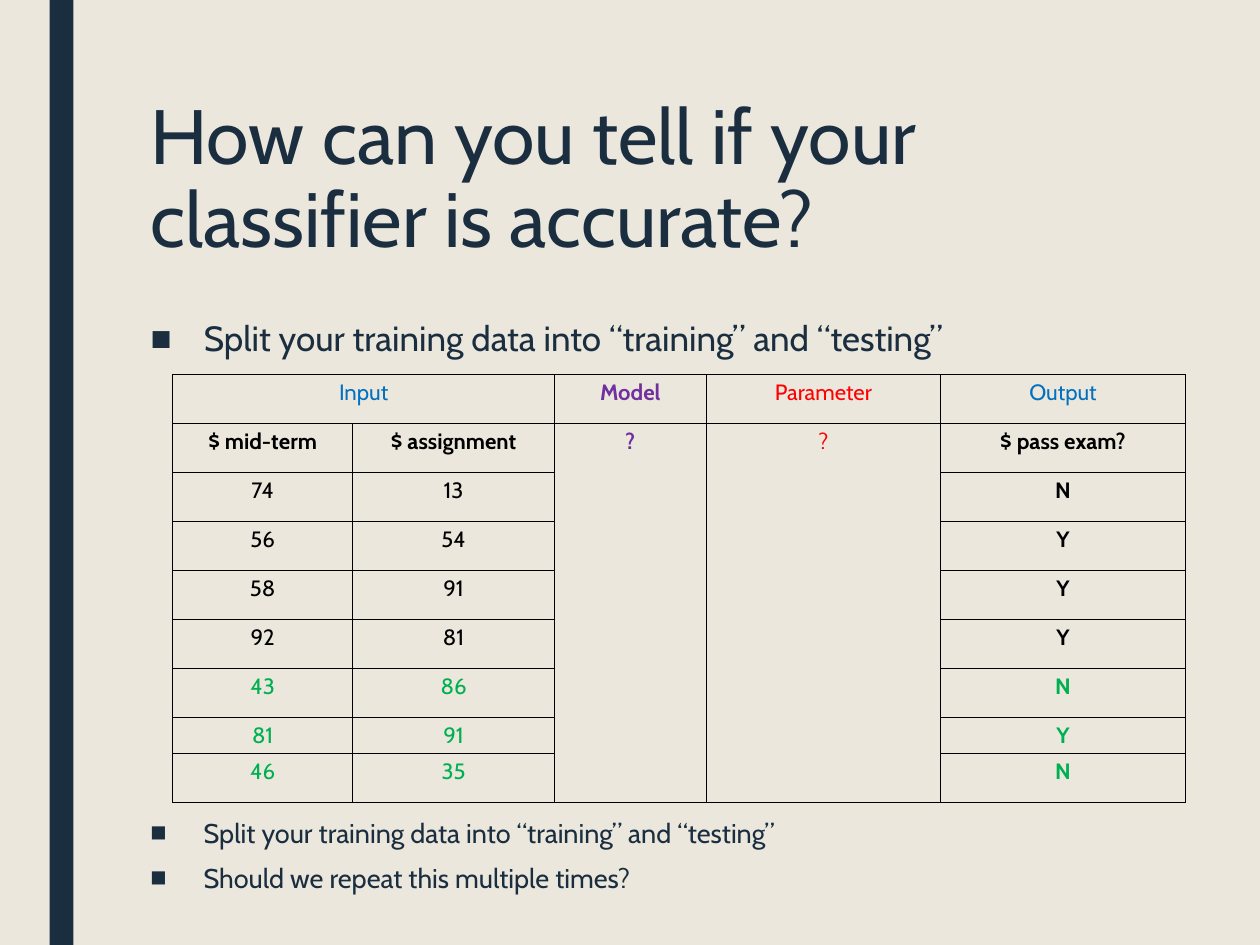
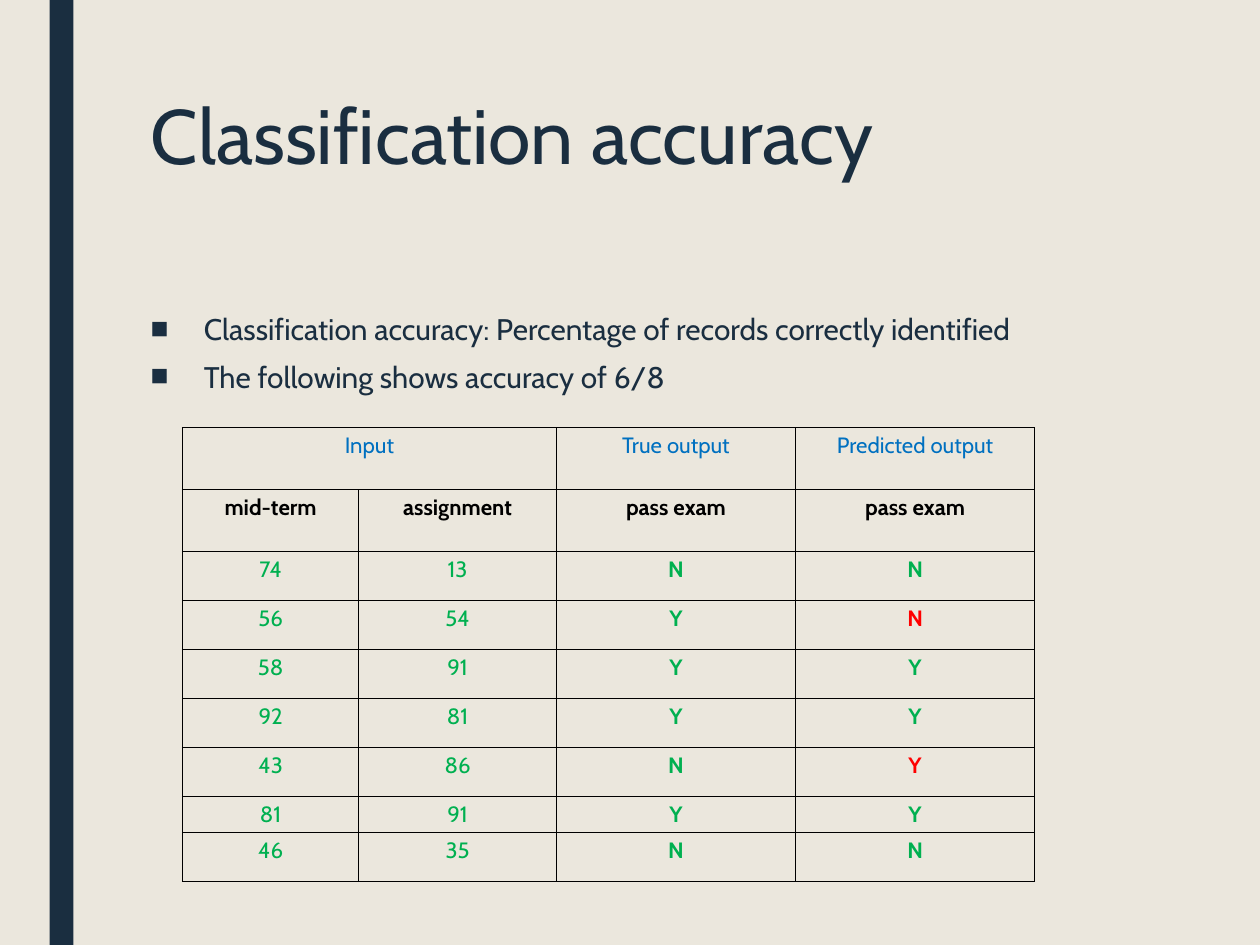
"""Build two slides on splitting training data and measuring classification accuracy."""
from lxml import etree
from pptx import Presentation
from pptx.dml.color import RGBColor
from pptx.enum.shapes import MSO_SHAPE
from pptx.enum.text import MSO_ANCHOR, MSO_AUTO_SIZE, PP_ALIGN
from pptx.oxml.ns import qn
from pptx.util import Inches, Pt

RECTANGLE = MSO_SHAPE.RECTANGLE
TOP = MSO_ANCHOR.TOP
NO_FIT = MSO_AUTO_SIZE.NONE
LEFT, CENTER = PP_ALIGN.LEFT, PP_ALIGN.CENTER

FONT = "Cabin"
COLORS = {
    "paper": "EBE7DD", "navy": "1A2E40", "black": "000000", "blue": "0070C0",
    "purple": "7030A0", "red": "FF0000", "green": "00B050",
}
WIDTH, HEIGHT = Inches(14.22), Inches(10.67)
UNIT = WIDTH / 128
MARGIN, TEXT_WIDTH = 14.4, 100.8
ROW, SHORT_ROW, TALL_ROW = 4.98, 3.69, 6.3


def add_span(para, text, size, color, bold=False):
    """Add one formatted run to a paragraph."""
    span = para.add_run()
    span.text = text
    span.font.name = FONT
    span.font.size = Pt(size)
    span.font.bold = bold
    span.font.color.rgb = RGBColor.from_string(COLORS[color])


def write_list(box, place, lines, size, spacing):
    """Place a box and fill it with square-bulleted lines."""
    box.left, box.top, box.width, box.height = [round(n * UNIT) for n in place]
    frame = box.text_frame
    frame.word_wrap, frame.auto_size, frame.vertical_anchor = True, NO_FIT, TOP
    for index, line in enumerate(lines):
        para = frame.add_paragraph() if index else frame.paragraphs[0]
        props = para._p.get_or_add_pPr()
        props.set("marL", str(Inches(0.6)))
        props.set("indent", str(-Inches(0.6)))
        etree.SubElement(props, qn("a:buFont"), typeface="Arial")
        etree.SubElement(props, qn("a:buChar"), char="■")
        para.alignment = LEFT
        para.line_spacing = spacing
        para.space_before = Pt(14.2 if index else 0)
        para.space_after = Pt(2.8)
        add_span(para, line, size, "navy")


records = [
    (74, 13, "N"), (56, 54, "Y"), (58, 91, "Y"), (92, 81, "Y"),
    (43, 86, "N"), (81, 91, "Y"), (46, 35, "N"),
]
predictions = "NNYYYYN"
training_count = 4
split_line = "Split your training data into “training” and “testing”"

split_rows = [
    [("Input", "blue", False), None, ("Model", "purple", True),
     ("Parameter", "red", False), ("Output", "blue", False)],
    [("$ mid-term", "black", True), ("$ assignment", "black", True),
     ("?", "purple", True), ("?", "red", False), ("$ pass exam?", "black", True)],
]
accuracy_rows = [
    [("Input", "blue", False), None, ("True output", "blue", False),
     ("Predicted output", "blue", False)],
    [(name, "black", True) for name in ("mid-term", "assignment", "pass exam", "pass exam")],
]
for index, (midterm, assignment, truth) in enumerate(records):
    shade = "black" if index < training_count else "green"
    split_rows.append([(str(midterm), shade, False), (str(assignment), shade, False),
                       None, None, (truth, shade, True)])
    guess = predictions[index]
    accuracy_rows.append([(str(midterm), "green", False), (str(assignment), "green", False),
                          (truth, "green", True),
                          (guess, "green" if guess == truth else "red", True)])

slides = [
    {"title": "How can you tell if your classifier is accurate?",
     "lines": [split_line], "width": TEXT_WIDTH, "size": 28.4, "spacing": 0.94,
     "corner": (17.55, 38.07), "columns": [18.27, 20.52, 15.39, 23.85, 24.84],
     "header": ROW, "rows": split_rows,
     "merges": [(0, 0, 0, 1), (1, 2, 8, 2), (1, 3, 8, 3)]},
    {"title": "Classification accuracy",
     "lines": ["Classification accuracy: Percentage of records correctly identified",
               "The following shows accuracy of 6/8"],
     "width": 106.83, "size": 24.2, "spacing": 0.74,
     "corner": (18.54, 43.47), "columns": [17.91, 20.07, 24.3, 24.3],
     "header": TALL_ROW, "rows": accuracy_rows, "merges": [(0, 0, 0, 1)]},
]

deck = Presentation()
deck.slide_width, deck.slide_height = WIDTH, HEIGHT
master = deck.slide_master
master.background.fill.solid()
master.background.fill.fore_color.rgb = RGBColor.from_string(COLORS["paper"])
layout = deck.slide_layouts[1]
heading = layout.placeholders[0]
heading.left, heading.top, heading.width, heading.height = [
    round(n * UNIT) for n in (MARGIN, 9.63, TEXT_WIDTH, 20.79)]

for content in slides:
    page = deck.slides.add_slide(layout)
    frame = page.shapes.title.text_frame
    frame.word_wrap, frame.auto_size, frame.vertical_anchor = True, NO_FIT, TOP
    para = frame.paragraphs[0]
    para.alignment = LEFT
    para.line_spacing = 0.89
    add_span(para, content["title"], 62.6, "navy")
    write_list(page.placeholders[1], (MARGIN, 32.04, content["width"], 8.6),
               content["lines"], content["size"], content["spacing"])

    heights = [content["header"]] * 2 + [ROW] * 5 + [SHORT_ROW, ROW]
    columns = content["columns"]
    extent = (*content["corner"], sum(columns), sum(heights))
    table = page.shapes.add_table(len(heights), len(columns),
                                  *[round(n * UNIT) for n in extent]).table
    table.first_row = table.horz_banding = False
    for column, width in zip(table.columns, columns):
        column.width = round(width * UNIT)
    for row, height, entries in zip(table.rows, heights, content["rows"]):
        row.height = round(height * UNIT)
        for cell, entry in zip(row.cells, entries):
            cell.fill.background()
            props = cell._tc.get_or_add_tcPr()
            for position, side in enumerate(("lnL", "lnR", "lnT", "lnB")):
                line = etree.Element(qn(f"a:{side}"), w=str(Pt(1)))
                paint = etree.SubElement(line, qn("a:solidFill"))
                etree.SubElement(paint, qn("a:srgbClr"), val=COLORS["black"])
                props.insert(position, line)
            if entry:
                text, color, bold = entry
                para = cell.text_frame.paragraphs[0]
                para.alignment = CENTER
                add_span(para, text, 18, color, bold)
    for top, left, bottom, right in content["merges"]:
        table.cell(top, left).merge(table.cell(bottom, right))

first_page = deck.slides[0]
write_list(first_page.shapes.add_textbox(0, 0, 0, 0), (MARGIN, 83.34, TEXT_WIDTH, 8.55),
           [split_line, "Should we repeat this multiple times?"], 22, 0.74)

band = first_page.shapes.add_shape(RECTANGLE, round(5.04 * UNIT), 0, round(2.43 * UNIT), HEIGHT)
band.shadow.inherit = False
band.fill.solid()
band.fill.fore_color.rgb = RGBColor.from_string(COLORS["navy"])
band.line.fill.background()
band.element.xpath("./p:nvSpPr/p:cNvPr")[0].set("id", "99")
master.shapes.element.insert(2, band.element)

deck.save("out.pptx")
